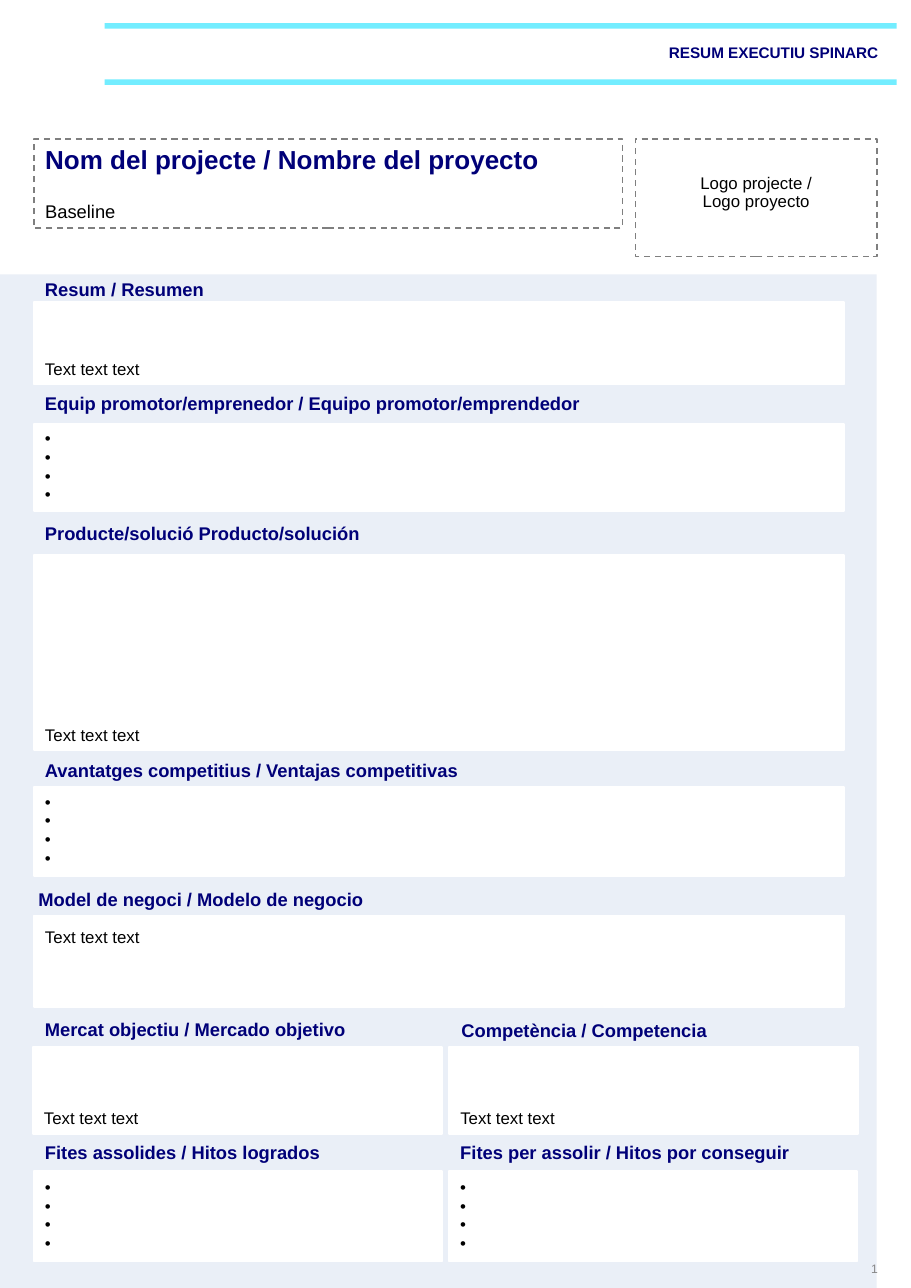
from dataclasses import dataclass

import pptx
import pptx.dml.color
import pptx.enum.dml
import pptx.enum.shapes
import pptx.enum.text
import pptx.util
from lxml import etree
from pptx.oxml.ns import qn

Inches, Pt = pptx.util.Inches, pptx.util.Pt
ALIGN, ANCHOR = pptx.enum.text.PP_ALIGN, pptx.enum.text.MSO_ANCHOR

NAVY, BLACK, WHITE = "000078", "000000", "FFFFFF"
GRAY, NUMBER_GRAY, PANEL, CYAN = "7F7F7F", "888888", "EAEFF7", "73EDFF"
LEFT, RIGHT_COL = 0.31, 4.08
WIDE, HALF = 7.35, 3.7
BULLETS = 4
SAMPLE = "Text text text"


@dataclass
class Box:
    left: float
    top: float
    width: float
    height: float


@dataclass
class Section:
    heading: str
    heading_box: Box
    body_box: Box
    text: str = ""  # an empty text stands for a bullet list
    anchor: ANCHOR = ANCHOR.BOTTOM


SECTIONS = [
    Section("Resum / Resumen", Box(LEFT, 2.46, 4.3, 0.32),
            Box(LEFT, 2.74, WIDE, 0.75), SAMPLE),
    Section("Equip promotor/emprenedor / Equipo promotor/emprendedor",
            Box(LEFT, 3.49, WIDE, 0.32), Box(LEFT, 3.85, WIDE, 0.79)),
    Section("Producte/solució Producto/solución", Box(LEFT, 4.67, 4.3, 0.32),
            Box(LEFT, 5.04, WIDE, 1.77), SAMPLE),
    Section("Avantatges competitius / Ventajas competitivas",
            Box(LEFT, 6.82, 4.3, 0.32), Box(LEFT, 7.14, WIDE, 0.81)),
    Section("Model de negoci / Modelo de negocio", Box(0.25, 7.99, 6.91, 0.32),
            Box(LEFT, 8.31, WIDE, 0.83), SAMPLE, ANCHOR.TOP),
    Section("Mercat objectiu / Mercado objetivo", Box(LEFT, 9.17, HALF, 0.32),
            Box(0.3, 9.5, 3.71, 0.79), SAMPLE),
    Section("Competència / Competencia", Box(4.09, 9.18, HALF, 0.32),
            Box(RIGHT_COL, 9.5, 3.71, 0.79), SAMPLE),
    Section("Fites assolides / Hitos logrados", Box(LEFT, 10.29, 4.3, 0.32),
            Box(LEFT, 10.63, HALF, 0.82)),
    Section("Fites per assolir / Hitos por conseguir",
            Box(RIGHT_COL, 10.29, HALF, 0.32), Box(RIGHT_COL, 10.63, HALF, 0.82)),
]


def paint(color_format, color: str) -> None:
    color_format.rgb = pptx.dml.color.RGBColor.from_string(color)


def set_font(font, size: float, color: str, bold: bool = False) -> None:
    for key, value in {"name": "Arial", "size": Pt(size), "bold": bold}.items():
        setattr(font, key, value)
    paint(font.color, color)


def set_frame(tf, anchor: ANCHOR, top: float = 0.05, bottom: float = 0.05) -> None:
    frame_format = {
        "word_wrap": True, "auto_size": pptx.enum.text.MSO_AUTO_SIZE.NONE,
        "vertical_anchor": anchor,
        "margin_left": Inches(0.1), "margin_right": Inches(0.1),
        "margin_top": Inches(top), "margin_bottom": Inches(bottom),
    }
    for key, value in frame_format.items():
        setattr(tf, key, value)


def add_line(tf, text: str, size: float, color: str, bold: bool = False,
             align: ALIGN = ALIGN.LEFT, before: float = 0):
    """Write into the first paragraph if it is free, else add one."""
    p = tf.paragraphs[0] if not tf.paragraphs[0].runs else tf.add_paragraph()
    p.alignment, p.line_spacing, p.space_before = align, 0.9, Pt(before)
    r = p.add_run()
    r.text = text
    set_font(r.font, size, color, bold)
    return p


def add_rect(s, box: Box, fill: str = "", line: str = "", line_width: float = 1.25):
    sp = s.shapes.add_shape(
        pptx.enum.shapes.MSO_SHAPE.RECTANGLE, Inches(box.left), Inches(box.top),
        Inches(box.width), Inches(box.height))
    sp.shadow.inherit = False
    if fill:
        sp.fill.solid()
        paint(sp.fill.fore_color, fill)
    else:
        sp.fill.background()
    if line:
        paint(sp.line.color, line)
        sp.line.width = Pt(line_width)
    else:
        sp.line.fill.background()
    return sp


def add_textbox(s, box: Box, anchor: ANCHOR = ANCHOR.BOTTOM):
    tf = s.shapes.add_textbox(Inches(box.left), Inches(box.top),
                              Inches(box.width), Inches(box.height)).text_frame
    set_frame(tf, anchor)
    return tf


def add_bullets(tf) -> None:
    for _ in range(BULLETS):
        p = add_line(tf, " ", 11, BLACK)
        p.line_spacing = 0.93
        pPr = p._p.get_or_add_pPr()
        pPr.set("marL", str(Inches(0.19)))
        pPr.set("indent", str(-Inches(0.19)))
        etree.SubElement(pPr, qn("a:buFont")).set("typeface", "Arial")
        etree.SubElement(pPr, qn("a:buChar")).set("char", "•")


def add_section(s, section: Section) -> None:
    tf = add_rect(s, section.body_box, WHITE, WHITE).text_frame
    if section.text:
        top = 0.12 if section.anchor == ANCHOR.TOP else 0.05
        set_frame(tf, section.anchor, top)
        add_line(tf, section.text, 11, BLACK)
    else:
        set_frame(tf, ANCHOR.MIDDLE)
        add_bullets(tf)
    add_line(add_textbox(s, section.heading_box), section.heading, 12, NAVY, True)


def add_project_title(s) -> None:
    title = s.shapes.title
    box = {"left": LEFT, "top": 1.26, "width": 5.34, "height": 0.81}
    for key, value in box.items():
        setattr(title, key, Inches(value))
    set_dashed(title)
    set_frame(title.text_frame, ANCHOR.BOTTOM)
    add_line(title.text_frame, "Nom del projecte / Nombre del proyecto", 17, NAVY, True)
    add_line(title.text_frame, "Baseline", 12, BLACK, before=18)


def set_dashed(sp) -> None:
    paint(sp.line.color, GRAY)
    sp.line.width = Pt(1)
    sp.line.dash_style = pptx.enum.dml.MSO_LINE.DASH


def add_logo_box(s) -> None:
    sp = add_rect(s, Box(5.77, 1.26, 2.19, 1.07))
    set_dashed(sp)
    set_frame(sp.text_frame, ANCHOR.MIDDLE, bottom=0.14)
    for text in ("Logo projecte /", "Logo proyecto"):
        add_line(sp.text_frame, text, 11, BLACK, align=ALIGN.CENTER)


def add_slide_number(s) -> None:
    tf = add_textbox(s, Box(7.66, 11.45, 0.41, 0.14), ANCHOR.MIDDLE)
    p = add_line(tf, "1", 8, NUMBER_GRAY, align=ALIGN.RIGHT)
    r = p.runs[0]._r
    r.tag = qn("a:fld")
    r.set("id", "{B6F15528-21DE-4FAA-801E-634DDDAF4B2B}")
    r.set("type", "slidenum")


def main() -> None:
    prs = pptx.Presentation()
    prs.slide_width, prs.slide_height = Inches(8.27), Inches(11.69)
    s = prs.slides.add_slide(prs.slide_layouts[5])
    add_rect(s, Box(0, 2.49, 7.96, 9.2), PANEL)
    add_project_title(s)
    add_logo_box(s)
    for section in SECTIONS:
        add_section(s, section)
    add_line(add_textbox(s, Box(LEFT, 0.16, 7.76, 0.45)),
             "RESUM EXECUTIU SPINARC", 10, NAVY, True, ALIGN.RIGHT)
    add_slide_number(s)
    for top in (0.21, 0.72):
        add_rect(s, Box(0.95, top, 7.19, 0.05), CYAN)
    prs.save("out.pptx")


if __name__ == "__main__":
    main()
